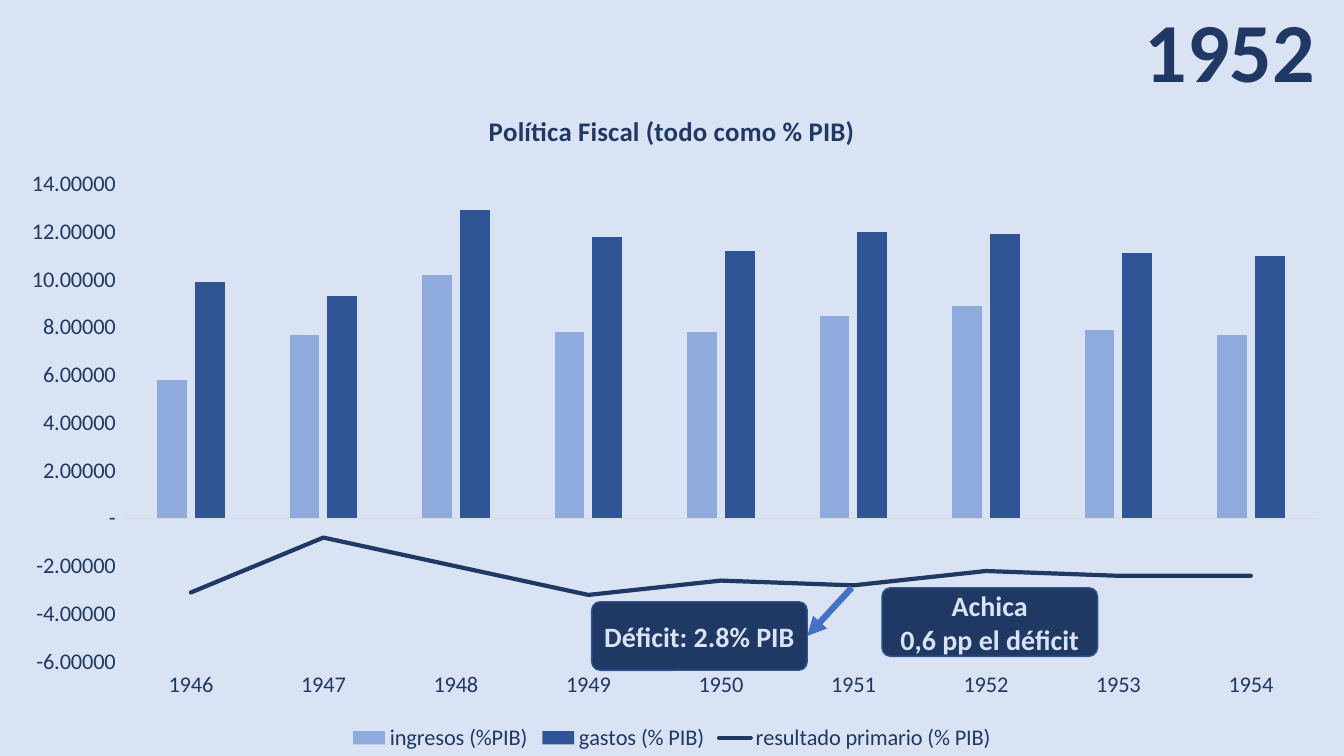
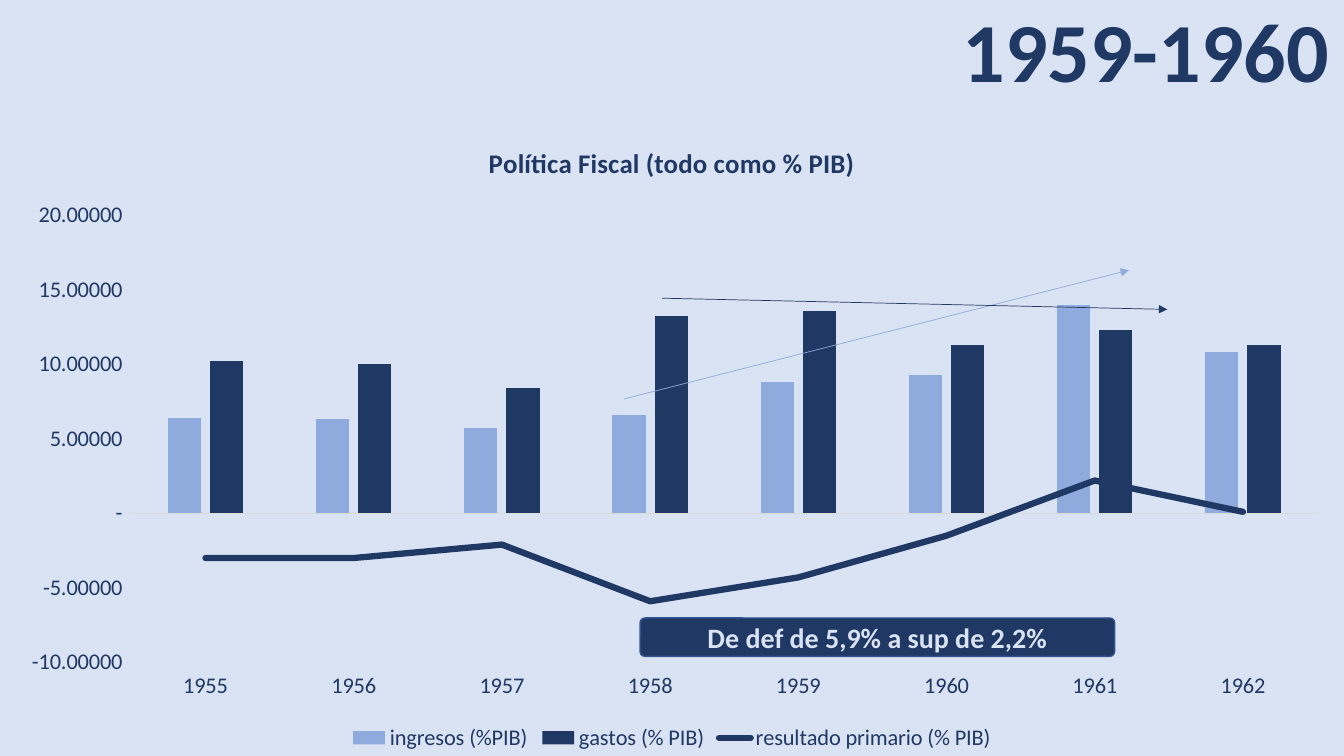
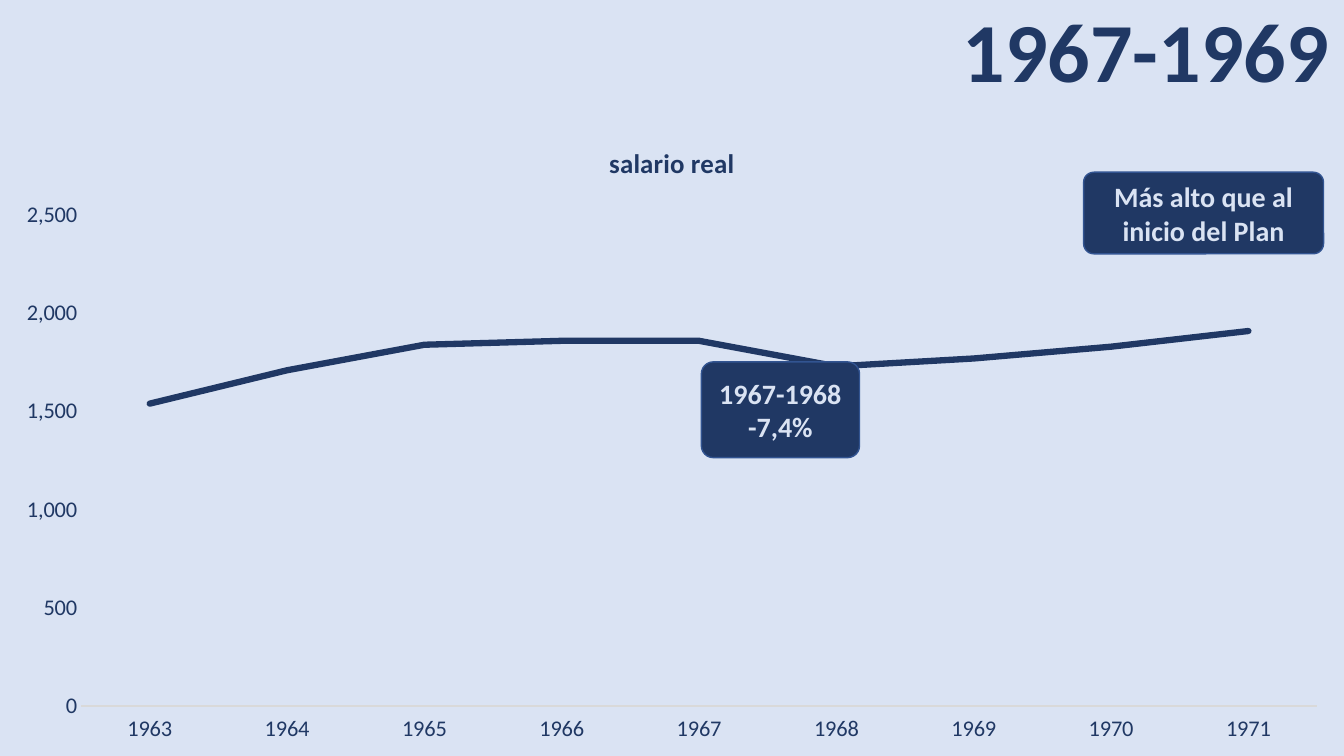
"""Three slides on fiscal policy and real wages, each with a chart and callouts."""
from pptx import Presentation
from pptx.chart.data import CategoryChartData
from pptx.dml.color import RGBColor
from pptx.enum.chart import (XL_CHART_TYPE, XL_LEGEND_POSITION, XL_MARKER_STYLE,
                             XL_TICK_LABEL_POSITION, XL_TICK_MARK)
from pptx.enum.shapes import MSO_CONNECTOR, MSO_SHAPE
from pptx.enum.text import MSO_ANCHOR, MSO_AUTO_SIZE, PP_ALIGN
from pptx.oxml import parse_xml
from pptx.oxml.ns import nsdecls, qn
from pptx.util import Pt

FONT = "Calibri"
NAVY, PALE, SKY, BLUE = "203864", "DAE3F3", "8FAADC", "2F5597"
EDGE, ACCENT, AXIS = "325491", "4472C4", "D9D9D9"
WIDTH, HEIGHT = 960, 540
FISCAL_TITLE = "Política Fiscal (todo como % PIB)"
FISCAL_NAMES = ("ingresos (%PIB)", "gastos (% PIB)", "resultado primario (% PIB)")
FISCAL_FORMAT = r'_ * #.##000_ ;_ * \-#.##000_ ;_ * "-"_ ;'

SLIDES = [
    dict(
        title="1952", title_left=796, title_width=165,
        chart=dict(
            title=FISCAL_TITLE, top=63.4, years=range(1946, 1955), names=FISCAL_NAMES,
            values=[(5.8, 7.7, 10.2, 7.8, 7.8, 8.5, 8.9, 7.9, 7.7),
                    (9.9, 9.3, 12.9, 11.8, 11.2, 12, 11.9, 11.1, 11),
                    (-3.1, -0.8, -2, -3.2, -2.6, -2.8, -2.2, -2.4, -2.4)],
            colors=(SKY, BLUE, NAVY), line_width=3,
            scale=(-6, 14, 2), number_format=FISCAL_FORMAT),
        callouts=[("Achica\n0,6 pp el déficit", (630, 419.8, 154, 49)),
                  ("Déficit: 2.8% PIB", (422.6, 429.8, 154, 49))],
        arrows=[dict(start=(608.4, 419.8), callout=1, side=3, color=ACCENT, width=4.5)],
    ),
    dict(
        title="1959-1960", title_left=676, title_width=285,
        chart=dict(
            title=FISCAL_TITLE, top=86.4, years=range(1955, 1963), names=FISCAL_NAMES,
            values=[(6.4, 6.3, 5.7, 6.6, 8.8, 9.3, 14, 10.8),
                    (10.2, 10, 8.4, 13.2, 13.6, 11.3, 12.3, 11.3),
                    (-3, -3, -2.1, -5.9, -4.3, -1.5, 2.2, 0.1)],
            colors=(SKY, NAVY, NAVY), line_width=4.5,
            scale=(-10, 20, 5), number_format=FISCAL_FORMAT),
        callouts=[("De def de 5,9% a sup de 2,2%", (457.2, 441.4, 339, 27.4))],
        arrows=[dict(start=(445.7, 285), end=(806.4, 193), color=SKY, width=0.5),
                dict(start=(473, 213), end=(833.8, 221), color=NAVY, width=0.5)],
    ),
    dict(
        title="1967-1969", title_left=676, title_width=285,
        chart=dict(
            title="salario real", top=86.4, years=range(1963, 1972), names=("salario real",),
            values=[(1540, 1710, 1840, 1860, 1860, 1730, 1770, 1830, 1910)],
            colors=(NAVY,), line_width=4.5, scale=(0, 2500, 500), number_format="#,##0"),
        callouts=[("1967-1968\n-7,4%", (501, 258.5, 113, 68.4)),
                  ("Más alto que al inicio del Plan", (774, 123, 171.4, 58.3))],
        arrows=[],
    ),
]


def rgb(color):
    return RGBColor.from_string(color)


def write(frame, text, size=20, color=PALE, spacing=None):
    frame.text = text
    for paragraph in frame.paragraphs:
        paragraph.alignment = PP_ALIGN.CENTER
        if spacing:
            paragraph.line_spacing = spacing
        for run in paragraph.runs:
            run.font.name = FONT
            run.font.size = Pt(size)
            run.font.bold = True
            run.font.color.rgb = rgb(color)


def add_title(slide, text, left, width):
    title = slide.shapes.title
    title.left, title.top, title.width, title.height = Pt(left), 0, Pt(width), Pt(75.6)
    write(title.text_frame, text, size=60, color=NAVY, spacing=0.9)
    title.text_frame.word_wrap = True
    title.text_frame.auto_size = MSO_AUTO_SIZE.NONE
    title.text_frame.vertical_anchor = MSO_ANCHOR.BOTTOM


def move_last_series_to_line(columns):
    bars = columns._element
    last = bars.findall(qn("c:ser"))[-1]
    for bar_only in last.findall(qn("c:invertIfNegative")):
        last.remove(bar_only)
    lines = parse_xml(f'<c:lineChart {nsdecls("c")}><c:grouping val="standard"/>'
                      '<c:varyColors val="0"/><c:marker val="1"/></c:lineChart>')
    lines.insert(2, last)
    for axis in bars.findall(qn("c:axId")):
        lines.append(parse_xml(f'<c:axId {nsdecls("c")} val="{axis.get("val")}"/>'))
    bars.addnext(lines)


def style_axes(chart, scale, number_format):
    years, amounts = chart.category_axis, chart.value_axis
    for axis in (years, amounts):
        axis.has_major_gridlines = False
        axis.major_tick_mark = axis.minor_tick_mark = XL_TICK_MARK.NONE
    years.tick_label_position = XL_TICK_LABEL_POSITION.LOW
    years.format.line.color.rgb = rgb(AXIS)
    years.format.line.width = Pt(0.75)
    amounts.format.line.fill.background()
    amounts.minimum_scale, amounts.maximum_scale, amounts.major_unit = scale
    amounts.tick_labels.number_format = number_format
    amounts.tick_labels.number_format_is_linked = False


def add_chart(slide, title, top, years, names, values, colors, line_width, scale, number_format):
    data = CategoryChartData()
    data.categories = [str(year) for year in years]
    for name, amounts in zip(names, values):
        data.add_series(name, amounts)
    combined = len(names) > 1
    kind = XL_CHART_TYPE.COLUMN_CLUSTERED if combined else XL_CHART_TYPE.LINE
    chart = slide.shapes.add_chart(kind, 0, Pt(top), Pt(WIDTH), Pt(HEIGHT - top), data).chart
    chart.font.name = FONT
    chart.font.size = Pt(16)
    chart.font.color.rgb = rgb(NAVY)
    chart.has_title = True
    write(chart.chart_title.text_frame, title, size=19.2, color=NAVY)
    chart.chart_title.include_in_layout = False
    chart.has_legend = combined
    chart.plots[0].vary_by_categories = False
    style_axes(chart, scale, number_format)
    if combined:
        chart.legend.position = XL_LEGEND_POSITION.BOTTOM
        chart.legend.include_in_layout = False
        columns = chart.plots[0]
        columns.gap_width, columns.overlap = 219, -27
        move_last_series_to_line(columns)
        for series, color in zip(columns.series, colors):
            series.invert_if_negative = False
            series.format.fill.solid()
            series.format.fill.fore_color.rgb = rgb(color)
    result = chart.plots[len(chart.plots) - 1].series[0]
    result.smooth = False
    result.marker.style = XL_MARKER_STYLE.NONE
    result.format.line.color.rgb = rgb(colors[-1])
    result.format.line.width = Pt(line_width)
    result._element.find(qn("c:spPr")).find(qn("a:ln")).set("cap", "rnd")


def add_callout(slide, text, box):
    callout = slide.shapes.add_shape(MSO_SHAPE.ROUNDED_RECTANGLE, *map(Pt, box))
    callout.adjustments[0] = 0.125
    callout.shadow.inherit = False
    callout.fill.solid()
    callout.fill.fore_color.rgb = rgb(NAVY)
    callout.line.color.rgb = rgb(EDGE)
    callout.line.width = Pt(1)
    callout.text_frame.word_wrap = True
    callout.text_frame.vertical_anchor = MSO_ANCHOR.MIDDLE
    write(callout.text_frame, text)
    return callout


def add_arrow(slide, callouts, start, color, width, end=None, callout=None, side=None):
    arrow = slide.shapes.add_connector(
        MSO_CONNECTOR.STRAIGHT, *map(Pt, start), *map(Pt, end or start))
    if callout is not None:
        arrow.end_connect(callouts[callout], side)
    arrow.line.color.rgb = rgb(color)
    arrow.line.width = Pt(width)
    properties = arrow.element.spPr
    properties.find(qn("a:ln")).append(
        parse_xml(f'<a:tailEnd {nsdecls("a")} type="triangle"/>'))
    properties.append(parse_xml(f'<a:effectLst {nsdecls("a")}/>'))


def main():
    deck = Presentation()
    deck.slide_width, deck.slide_height = Pt(WIDTH), Pt(HEIGHT)
    background = deck.slide_master.background.fill
    background.solid()
    background.fore_color.rgb = rgb(PALE)
    for content in SLIDES:
        slide = deck.slides.add_slide(deck.slide_layouts[5])
        add_title(slide, content["title"], content["title_left"], content["title_width"])
        add_chart(slide, **content["chart"])
        callouts = [add_callout(slide, text, box) for text, box in content["callouts"]]
        for arrow in content["arrows"]:
            add_arrow(slide, callouts, **arrow)
    deck.save("out.pptx")


if __name__ == "__main__":
    main()
